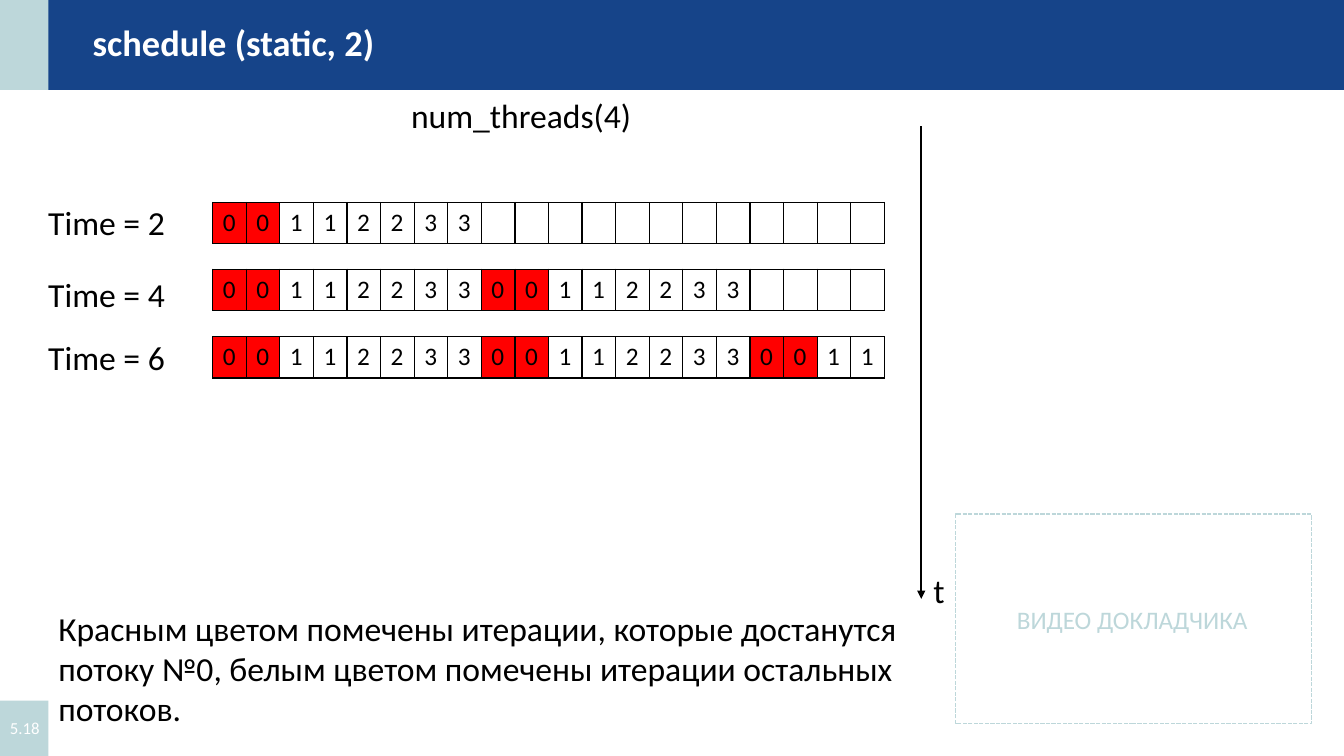
from lxml.etree import SubElement
from pptx import Presentation
from pptx.dml.color import RGBColor
from pptx.enum.dml import MSO_LINE
from pptx.enum.shapes import MSO_CONNECTOR, MSO_SHAPE
from pptx.enum.text import MSO_ANCHOR, MSO_AUTO_SIZE, PP_ALIGN
from pptx.oxml.ns import qn
from pptx.util import Inches, Pt

COLUMNS, ROWS = 40, 18
BLUE, PALE, RED, BLACK, WHITE = "164489", "BDD7DA", "FF0000", "000000", "FFFFFF"
THREADS, CHUNK, ITERATIONS = 4, 2, 20


def color(value):
    return RGBColor.from_string(value)


class SlideBuilder:
    """Holds the style and the current slide; lengths are grid columns and rows."""

    font = "Calibri"

    def __init__(self, deck):
        self.column = deck.slide_width / COLUMNS
        self.row = deck.slide_height / ROWS
        self.page = deck.slides.add_slide(deck.slide_layouts[5])

    def area(self, left, top, width, height):
        return (round(left * self.column), round(top * self.row),
                round(width * self.column), round(height * self.row))

    def add_span(self, para, text, size, ink, bold=False):
        span = para.add_run()
        span.text = text
        span.font.name, span.font.size, span.font.bold = self.font, Pt(size), bold
        span.font.color.rgb = color(ink)

    def rectangle(self, *area, fill=None, line=None):
        box = self.page.shapes.add_shape(MSO_SHAPE.RECTANGLE, *self.area(*area))
        box.shadow.inherit = False
        if fill:
            box.fill.solid()
            box.fill.fore_color.rgb = color(fill)
        else:
            box.fill.background()
        if line:
            box.line.color.rgb = color(line)
            box.line.width = Pt(1)
            box.line.dash_style = MSO_LINE.SQUARE_DOT
        else:
            box.line.fill.background()

    def title(self, text, *area):
        box = self.page.shapes.title
        box.left, box.top, box.width, box.height = self.area(*area)
        # Lift the title above the header band
        box.element.getparent().append(box.element)
        frame = box.text_frame
        frame.auto_size = MSO_AUTO_SIZE.NONE
        frame.vertical_anchor = MSO_ANCHOR.MIDDLE
        para = frame.paragraphs[0]
        para.alignment, para.line_spacing = PP_ALIGN.LEFT, 0.9
        self.add_span(para, text, 26, WHITE, bold=True)

    def text(self, text, *area, size=24, ink=BLACK, wrap=True, anchor=MSO_ANCHOR.TOP):
        frame = self.page.shapes.add_textbox(*self.area(*area)).text_frame
        frame.word_wrap = wrap
        frame.vertical_anchor = anchor
        self.add_span(frame.paragraphs[0], text, size, ink)

    def arrow_down(self, left, top, bottom):
        x, start, _, length = self.area(left, top, 0, bottom - top)
        arrow = self.page.shapes.add_connector(
            MSO_CONNECTOR.STRAIGHT, x, start, x, start + length)
        arrow.line.color.rgb = color(BLACK)
        arrow.line.width = Pt(1.5)
        outline = arrow.element.spPr.find(qn("a:ln"))
        SubElement(outline, qn("a:tailEnd"), type="triangle")
        SubElement(arrow.element.spPr, qn("a:effectLst"))

    def border(self, cell):
        properties = cell._tc.get_or_add_tcPr()
        for index, side in enumerate(("lnL", "lnR", "lnT", "lnB")):
            line = SubElement(properties, qn(f"a:{side}"), w=str(Pt(1)))
            fill = SubElement(line, qn("a:solidFill"))
            SubElement(fill, qn("a:srgbClr"), val=BLACK)
            properties.insert(index, line)

    def iterations(self, done, *area):
        table = self.page.shapes.add_table(1, ITERATIONS, *self.area(*area)).table
        table.first_row = table.horz_banding = False
        for index, cell in enumerate(table.rows[0].cells):
            thread = index // CHUNK % THREADS
            assigned = index < done
            if assigned and thread == 0:
                cell.fill.solid()
                cell.fill.fore_color.rgb = color(RED)
            else:
                cell.fill.background()
            self.border(cell)
            if assigned:
                self.add_span(cell.text_frame.paragraphs[0], str(thread), 18, BLACK)


def main():
    deck = Presentation()
    deck.slide_width, deck.slide_height = Inches(13.33), Inches(7.5)
    slide = SlideBuilder(deck)

    # Header band and page number block
    slide.rectangle(0, 0, COLUMNS, 2.14, fill=BLUE)
    slide.rectangle(0, 0, 1.44, 2.14, fill=PALE)
    slide.rectangle(0, 16.68, 1.44, 1.32, fill=PALE)
    slide.title("schedule (static, 2)", 2.46, 0.58, 29.07, 0.96)
    slide.text("5.18", 0, 16.85, 1.68, 0.96, size=12, ink=WHITE,
               anchor=MSO_ANCHOR.MIDDLE)

    # Speaker video area
    slide.rectangle(28.44, 12.24, 10.59, 4.99, line=PALE)
    slide.text("ВИДЕО ДОКЛАДЧИКА", 29.97, 14.26, 7.53, 0.96,
               size=18, ink=PALE, wrap=False)

    # Time axis
    slide.arrow_down(27.42, 3, 14.26)
    slide.text("t", 27.48, 13.44, 0.93, 1.2, wrap=False)

    # Iterations handed out by each moment
    slide.text("num_threads(4)", 11.94, 2.14, 7.23, 1.2, wrap=False)
    for time, label_top, table_top in ((2, 4.7, 4.82), (4, 6.41, 6.41), (6, 7.9, 8.02)):
        slide.text(f"Time = {time}", 1.14, label_top, 4.26, 1.2)
        slide.iterations(time * THREADS, 6.33, table_top, ITERATIONS, 0.98)

    # Explanation
    slide.text("Красным цветом помечены итерации, которые достанутся потоку №0, "
               "белым цветом помечены итерации остальных потоков.",
               1.44, 14.35, 26.94, 3.14)

    deck.save("out.pptx")


if __name__ == "__main__":
    main()
